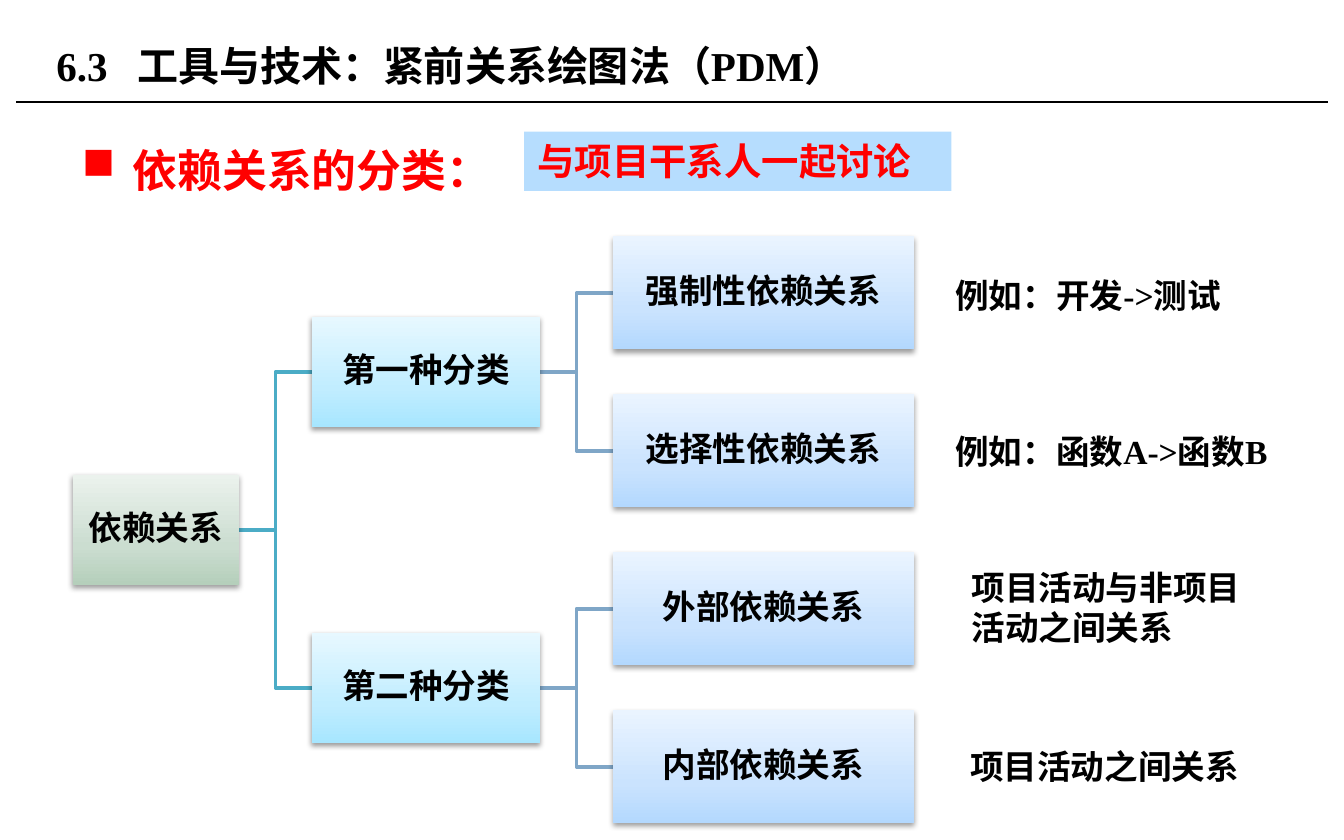
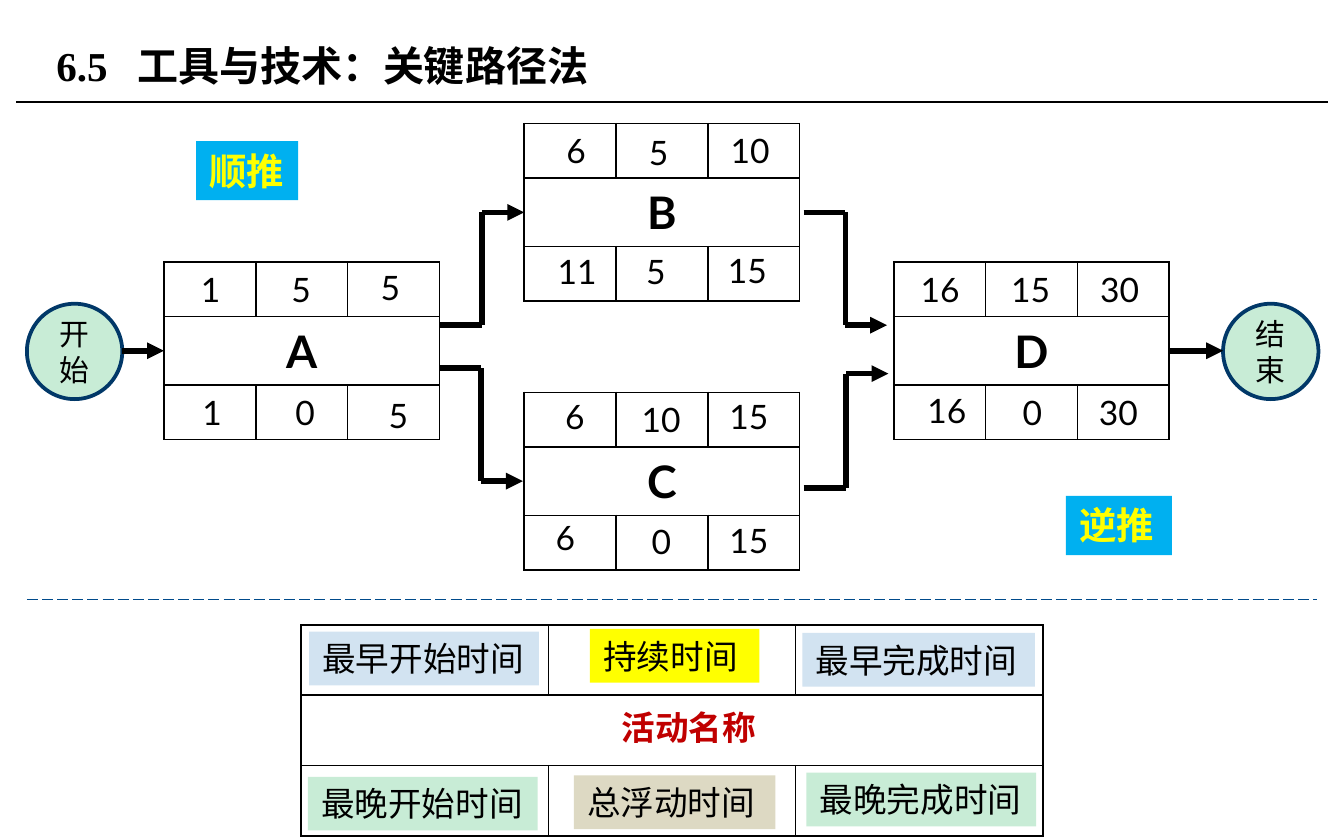
import copy
import itertools
import typing

import lxml.etree
import pptx
import pptx.dml.color
import pptx.enum.dml
import pptx.enum.lang
import pptx.enum.shapes
import pptx.enum.text
import pptx.oxml.ns
import pptx.util

COLUMNS, ROWS = 100, 62.5
UNIT = pptx.util.Inches(0.1)

SERIF, SANS = "Times New Roman", "Lato"
BLACK, RED, YELLOW = "000000", "FF0000", "FFFF00"
MINT, PALE_BLUE = "C8ECD6", "D2E3F1"
GREENS = ("B5CFBB", "CBDDD0", "EBF2ED")
CYANS = ("A7E6FF", "C1EDFF", "E7F8FF")
BLUES = ("B3D8FE", "CAE3FE", "EAF4FF")

SHAPE = pptx.enum.shapes.MSO_SHAPE
ALIGN = pptx.enum.text.PP_ALIGN
ANCHOR = pptx.enum.text.MSO_ANCHOR

FRAME_FORMAT = {
    "auto_size": pptx.enum.text.MSO_AUTO_SIZE.NONE,
    "word_wrap": True,
    "vertical_anchor": ANCHOR.TOP,
}
CENTERED = {"vertical_anchor": ANCHOR.MIDDLE}
MARGINS = ("margin_left", "margin_top", "margin_right", "margin_bottom")
TIGHT = {**CENTERED, **dict.fromkeys(MARGINS, pptx.util.Inches(0.01))}


class Box(typing.NamedTuple):
    """A region measured in grid columns and rows."""
    left: float
    top: float
    width: float
    height: float

    def inside(self, left, top, width, height):
        return Box(self.left + left, self.top + top, width, height)

    def point(self, left, top):
        return self.left + left, self.top + top

    @property
    def middle(self):
        return self.top + self.height / 2

    @property
    def right(self):
        return self.left + self.width


def grid(*lengths):
    return [round(length * UNIT) for length in lengths]


def color(value):
    return pptx.dml.color.RGBColor.from_string(value)


def child(parent, tag, **attributes):
    return lxml.etree.SubElement(parent, pptx.oxml.ns.qn(tag), attributes)


def set_format(target, values):
    for name, value in values.items():
        setattr(target, name, value)


def write(frame, text, size=18, face=SANS, ink=BLACK, bold=False,
          para_format=None):
    para = frame.paragraphs[0]
    set_format(para, {"alignment": ALIGN.LEFT, **(para_format or {})})
    span = para.add_run()
    span.text = text
    set_format(span.font, {
        "size": pptx.util.Pt(size), "name": face, "bold": bold,
        "language_id": pptx.enum.lang.MSO_LANGUAGE_ID.SIMPLIFIED_CHINESE,
    })
    span.font.color.rgb = color(ink)
    return para


def add_text(page, box, text, frame_format=None, **style):
    frame = page.shapes.add_textbox(*grid(*box)).text_frame
    set_format(frame, {**FRAME_FORMAT, **(frame_format or {})})
    return write(frame, text, **style)


def add_filled(page, box, text, fill, kind=SHAPE.RECTANGLE, outline=None,
               frame_format=None, **style):
    """A preset shape with text; fill None leaves the fill to the caller."""
    shape = page.shapes.add_shape(kind, *grid(*box))
    shape.shadow.inherit = False
    if fill:
        shape.fill.solid()
        shape.fill.fore_color.rgb = color(fill)
    if outline:
        shape.line.color.rgb = color(outline)
        shape.line.width = pptx.util.Pt(2)
    else:
        shape.line.fill.background()
    set_format(shape.text_frame, {**FRAME_FORMAT, **(frame_format or {})})
    write(shape.text_frame, text, **style)
    return shape


def add_line(page, start, end, ink=BLACK, width=3.0, arrow=False, dash=None):
    line = page.shapes.add_connector(
        pptx.enum.shapes.MSO_CONNECTOR.STRAIGHT, *grid(*start, *end))
    line.line.color.rgb = color(ink)
    line.line.width = pptx.util.Pt(width)
    if dash:
        line.line.dash_style = dash
    properties = line.element.spPr
    if arrow:
        child(properties.find(pptx.oxml.ns.qn("a:ln")), "a:tailEnd",
              type="triangle")
    child(properties, "a:effectLst")
    return line


def add_route(page, start, end):
    """An arrow that runs straight, or turns halfway between both ends."""
    turn = (start[0] + end[0]) / 2
    stops = [start, end]
    if start[1] != end[1]:
        stops[1:1] = [(turn, start[1]), (turn, end[1])]
    for first, second in itertools.pairwise(stops):
        add_line(page, first, second, arrow=second == end)


def add_titled_page(deck, number, title, width):
    page = deck.slides.add_slide(deck.slide_layouts[5])
    holder = page.shapes.title
    names = ("left", "top", "width", "height")
    set_format(holder, dict(zip(names, grid(3.2, 1.3, width, 7.1))))
    set_format(holder.text_frame, {**FRAME_FORMAT, **CENTERED})
    para = write(holder.text_frame, f"{number}\t{title}", 22, SERIF, bold=True)
    tabs = child(para._p.get_or_add_pPr(), "a:tabLst")
    child(tabs, "a:tab", pos=str(grid(6)[0]), algn="l")
    return page


def add_layout_rule(deck, page):
    """Draws the line below the title and hands it to the shared layout."""
    rule = add_line(page, (1.2, 7.6), (COLUMNS - 1.2, 7.6), width=0.75)
    rule.element.nvCxnSpPr.cNvPr.set("id", "20")
    deck.slide_layouts[5].shapes.element.append(rule.element)


def add_card(page, box, text, shades, face=SERIF):
    card = add_filled(page, box, text, None, frame_format=TIGHT, face=face,
                      bold=True, para_format={"alignment": ALIGN.CENTER,
                                              "line_spacing": 0.9})
    card.fill.gradient()
    card.fill.gradient_angle = 90
    stops = card.element.spPr.find(".//" + pptx.oxml.ns.qn("a:gsLst"))
    stops.insert(1, copy.deepcopy(stops[0]))
    for stop, shade, position in zip(card.fill.gradient_stops, shades,
                                     (0, 0.35, 1)):
        stop.color.rgb = color(shade)
        stop.position = position
    effects = card.element.spPr.find(pptx.oxml.ns.qn("a:effectLst"))
    shadow = child(effects, "a:outerShdw", blurRad=str(pptx.util.Pt(3.1)),
                   dist=str(pptx.util.Pt(1.6)), dir="5400000", rotWithShape="0")
    child(child(shadow, "a:srgbClr", val=BLACK), "a:alpha", val="38000")


def add_bracket(page, parent, target, ink):
    turn = (parent.right + target.left) / 2
    start, *rest = [tuple(grid(*stop)) for stop in (
        (parent.right, parent.middle), (turn, parent.middle),
        (turn, target.middle), (target.left, target.middle))]
    builder = page.shapes.build_freeform(*start)
    builder.add_line_segments(rest, close=False)
    bracket = builder.convert_to_shape()
    bracket.shadow.inherit = False
    bracket.fill.background()
    bracket.line.color.rgb = color(ink)
    bracket.line.width = pptx.util.Pt(2)


def add_tree(page, area, root_name, branches):
    """Root, branches and leaves, each parent centred on its children."""
    pitch, leaf_height, node_height = 11.75, 8.4, 8.2
    leaf_count = sum(len(names) for _, names in branches)

    def node(left, width, position):
        middle = leaf_height / 2 + pitch * position
        return area.inside(left, middle - node_height / 2, width, node_height)

    root = node(0, 12.4, (leaf_count - 1) / 2)
    cards = [(root, root_name, GREENS, SERIF)]
    first = 0
    for branch_name, leaf_names in branches:
        branch = node(17.8, 17, first + (len(leaf_names) - 1) / 2)
        add_bracket(page, root, branch, "4BACC6")
        cards.append((branch, branch_name, CYANS, SANS))
        for row, name in enumerate(leaf_names, first):
            leaf = area.inside(40.2, pitch * row, 22.4, leaf_height)
            add_bracket(page, branch, leaf, "7FA6C7")
            cards.append((leaf, name, BLUES, SERIF))
        first += len(leaf_names)
    for box, name, shades, face in cards:
        add_card(page, box, name, shades, face)


def add_notes_column(page, area, notes):
    for text, *place in notes:
        add_text(page, area.inside(*place), text, face=SERIF, bold=True)


def add_heading(page, area, text, callout):
    para = add_text(page, area, text, size=24, face=SERIF, ink=RED, bold=True,
                    para_format={"line_spacing": 1.5})
    properties = para._p.get_or_add_pPr()
    indent = grid(3.8)[0]
    properties.set("marL", str(indent))
    properties.set("indent", str(-indent))
    child(properties, "a:buChar", char="■")
    add_filled(page, area.inside(33.9, 1.7, 31.8, 4.4), callout, "B6DDFE",
               size=20, face=SERIF, ink=RED, bold=True)


def add_bordered_table(page, box, row_heights, name=None):
    """Three rows of three cells, with the middle row merged for a name."""
    table = page.shapes.add_table(3, 3, *grid(*box)).table
    table.first_row = table.horz_banding = False
    for column in table.columns:
        column.width = grid(box.width / 3)[0]
    for row, height in zip(table.rows, row_heights):
        row.height = grid(height)[0]
    table.cell(1, 0).merge(table.cell(1, 2))
    for cell in table.iter_cells():
        properties = cell._tc.get_or_add_tcPr()
        for side in ("a:lnL", "a:lnR", "a:lnT", "a:lnB"):
            border = child(properties, side, w=str(pptx.util.Pt(1)))
            child(child(border, "a:solidFill"), "a:srgbClr", val=BLACK)
        cell.fill.background()
    if name:
        cell = table.cell(1, 0)
        cell.vertical_anchor = ANCHOR.MIDDLE
        write(cell.text_frame, name, 24, bold=True,
              para_format={"alignment": ALIGN.CENTER})


def add_activity(page, box, name, numbers):
    """Each number is its text and its shift from the centre of its cell."""
    add_bordered_table(page, box, (4.05, 5.1, 4.05), name)
    for index, (text, across, down) in enumerate(numbers):
        row, column = divmod(index, 3)
        width = 2 + 1.5 * len(text)
        left = box.width * (column + 0.5) / 3 - width / 2 + across
        top = row * (box.height - 4) + down
        add_text(page, box.inside(left, top, width, 4), text,
                 {"word_wrap": False})


def add_network(page, area, activities, terminals, routes, directions):
    for name, left, top, numbers in activities:
        add_activity(page, area.inside(left, top, 20.5, 13.2), name, numbers)
    for text, left in terminals:
        add_filled(page, area.inside(left, 13.4, 7.1, 7.1), text, MINT,
                   SHAPE.OVAL, "013868", CENTERED, size=16,
                   para_format={"alignment": ALIGN.CENTER})
    for start, end in routes:
        add_route(page, area.point(*start), area.point(*end))
    for text, *place in directions:
        add_filled(page, area.inside(*place), text, "00B0F0", size=20,
                   ink=YELLOW, bold=True, frame_format={"word_wrap": False})


def add_legend(page, area, name, tags):
    add_bordered_table(page, area, [area.height / 3] * 3)
    for text, fill, left, top, width in tags:
        add_filled(page, area.inside(left, top, width, 4), text, fill)
    add_text(page, area.inside(20.3, 5.6, 17.1, 4), name, ink="C00000",
             bold=True, para_format={"alignment": ALIGN.CENTER})


def add_dependency_page(deck):
    page = add_titled_page(deck, "6.3", "工具与技术：紧前关系绘图法（PDM）", 63.8)
    add_layout_rule(deck, page)
    add_heading(page, Box(5.1, 8.1, 89.8, 39), "依赖关系的分类：",
                "与项目干系人一起讨论")
    add_tree(page, Box(5.4, 17.6, 62.6, 43.6), "依赖关系", [
        ("第一种分类", ["强制性依赖关系", "选择性依赖关系"]),
        ("第二种分类", ["外部依赖关系", "内部依赖关系"]),
    ])
    add_notes_column(page, Box(70.1, 17.6, 26.6, 43.6), [
        ("例如：开发->测试", 0, 2.4, 21.9, 4),
        ("例如：函数A->函数B", 0, 14, 26.6, 4),
        ("项目活动与非项目活动之间关系", 1.2, 24.1, 23.3, 7.1),
        ("项目活动之间关系", 1.1, 37.4, 22.6, 4),
    ])


def add_critical_path_page(deck):
    page = add_titled_page(deck, "6.5", "工具与技术：关键路径法", 72.8)
    activities = [
        ("C", 37, 20, [("6", 0.4, -0.2), ("10", 0, 0), ("15", -0.3, -0.2),
                       ("6", -0.3, -0.4), ("0", 0, -0.1), ("15", -0.3, -0.2)]),
        ("B", 37, 0, [("6", 0.5, 0), ("5", -0.2, 0.1), ("10", -0.2, 0),
                      ("11", 0.6, -0.2), ("5", -0.4, -0.2), ("15", -0.4, -0.3)]),
        ("A", 10.2, 10.3, [("1", 0.1, 0), ("5", 0, 0), ("5", -0.2, -0.1),
                           ("1", 0.2, 0), ("0", 0.3, 0), ("5", 0.4, 0.2)]),
        ("D", 64.5, 10.3, [("16", 0.1, 0), ("15", 0, 0), ("30", -0.2, 0),
                           ("16", 0.6, -0.2), ("0", 0.1, 0), ("30", -0.3, 0)]),
    ]
    routes = [
        ((7.1, 16.9), (10.2, 16.9)), ((30.7, 15), (37, 6.6)),
        ((30.7, 18.2), (36.9, 26.6)), ((57.8, 27.1), (64.1, 18.6)),
        ((57.8, 6.6), (64, 15)), ((85, 16.9), (89, 16.9)),
    ]
    add_network(page, Box(2, 9.2, 96, 33.2), activities,
                [("开始", 0), ("结束", 89)], routes,
                [("顺推", 12.6, 1.3, 7.6, 4.4), ("逆推", 77.3, 27.7, 7.9, 4.4)])
    add_line(page, (2, 44.6), (98, 44.6), "004A8B", 0.75,
             dash=pptx.enum.dml.MSO_LINE.LONG_DASH)
    add_legend(page, Box(22.4, 46.5, 55.2, 15.7), "活动名称", [
        ("最早开始时间", PALE_BLUE, 0.6, 0.5, 17.1),
        ("持续时间", YELLOW, 21.5, 0.3, 12.6),
        ("最早完成时间", PALE_BLUE, 37.3, 0.6, 17.3),
        ("最晚开始时间", MINT, 0.5, 11.3, 17.1),
        ("最晚完成时间", MINT, 37.6, 11, 17.1),
        ("总浮动时间", "DDD9C3", 20.3, 11.2, 15),
    ])


def main():
    deck = pptx.Presentation()
    deck.slide_width, deck.slide_height = grid(COLUMNS, ROWS)
    add_dependency_page(deck)
    add_critical_path_page(deck)
    deck.save("out.pptx")


if __name__ == "__main__":
    main()
